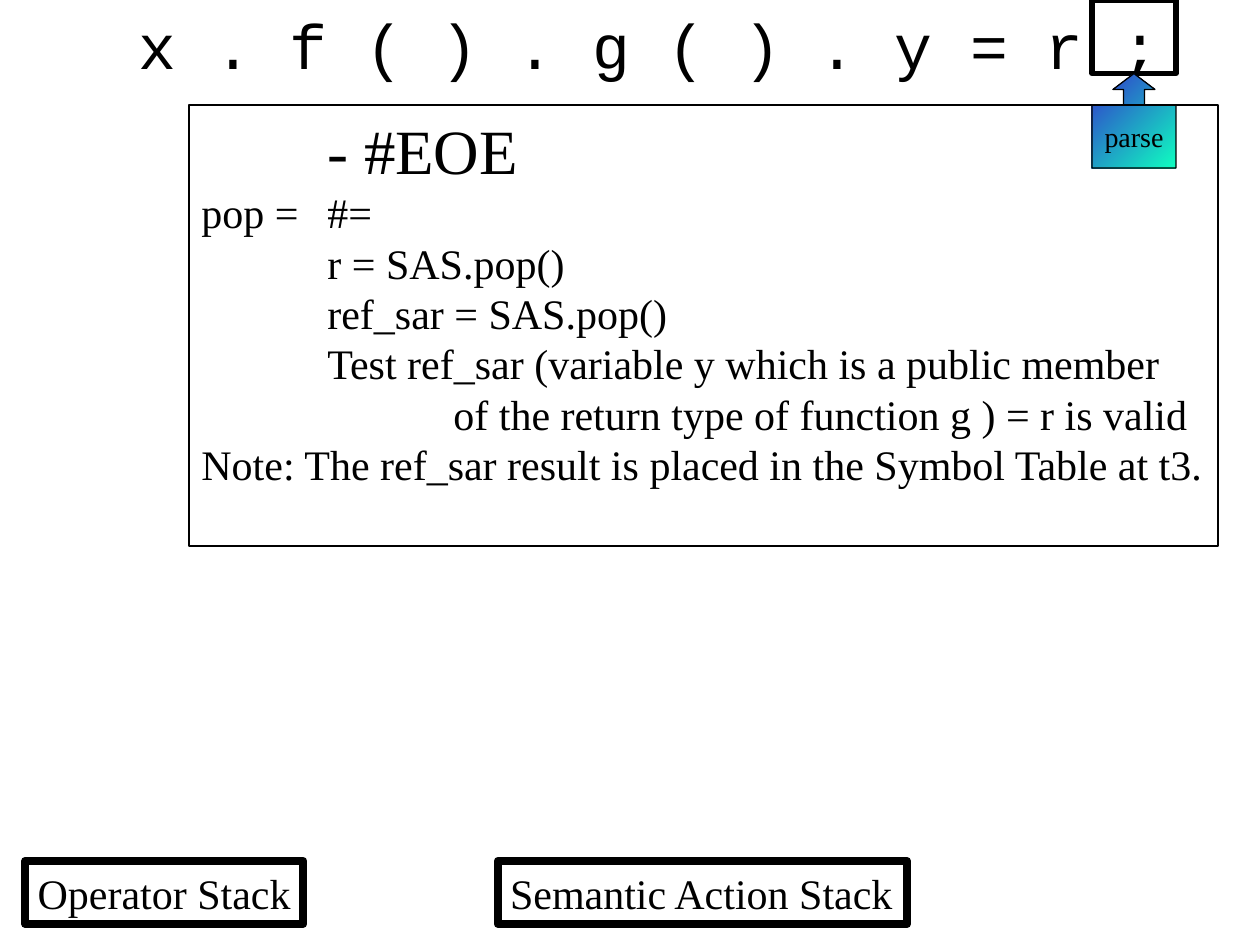
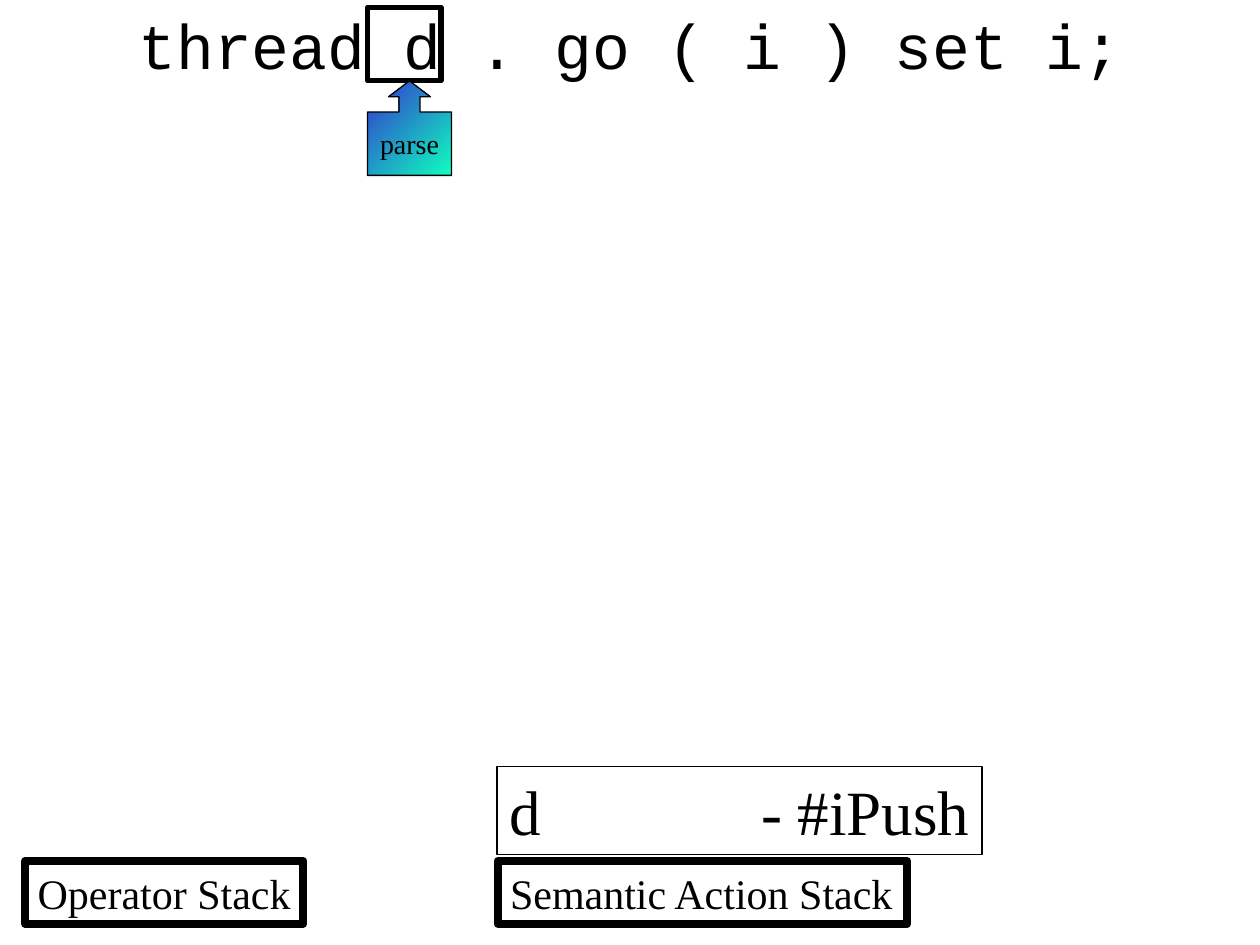
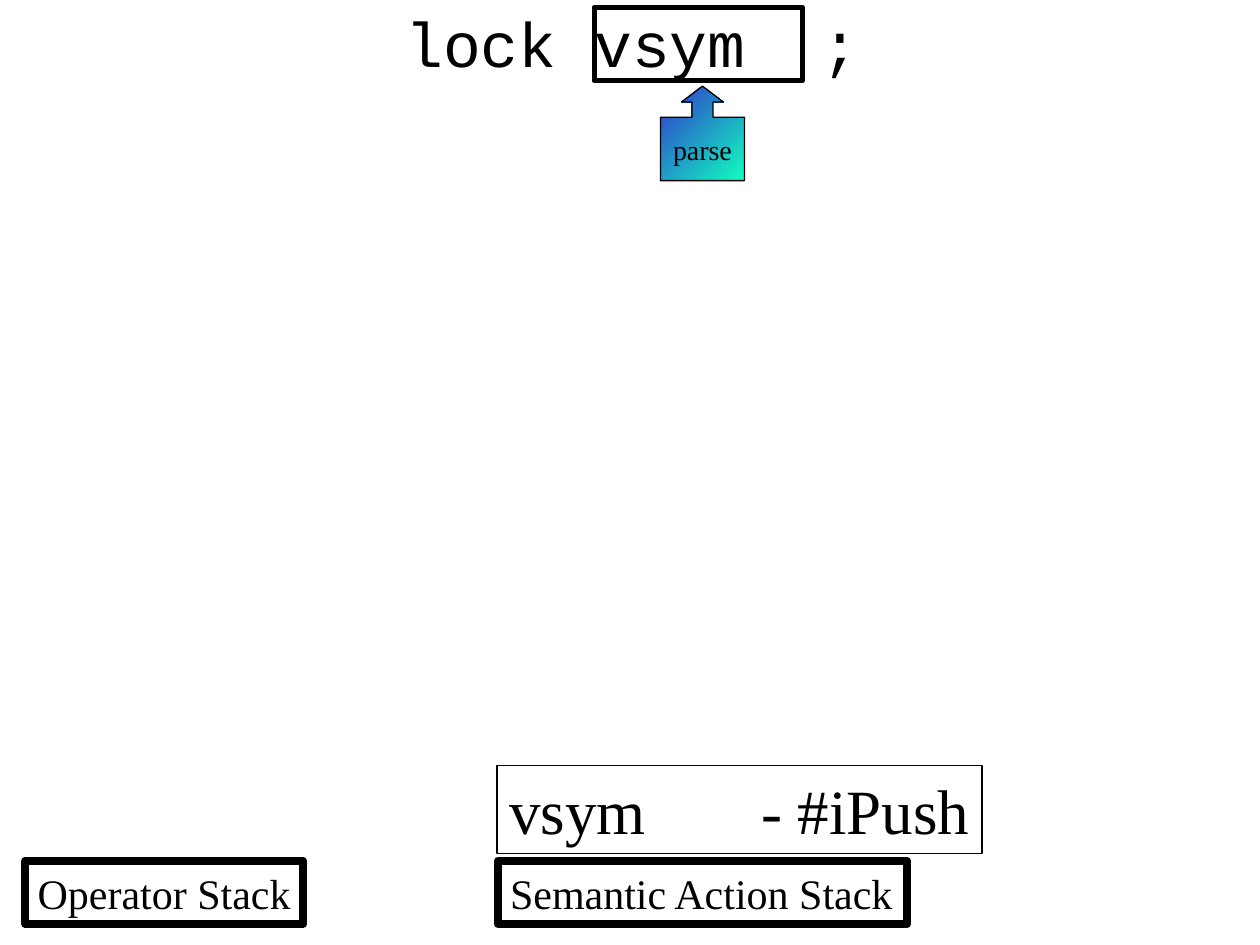
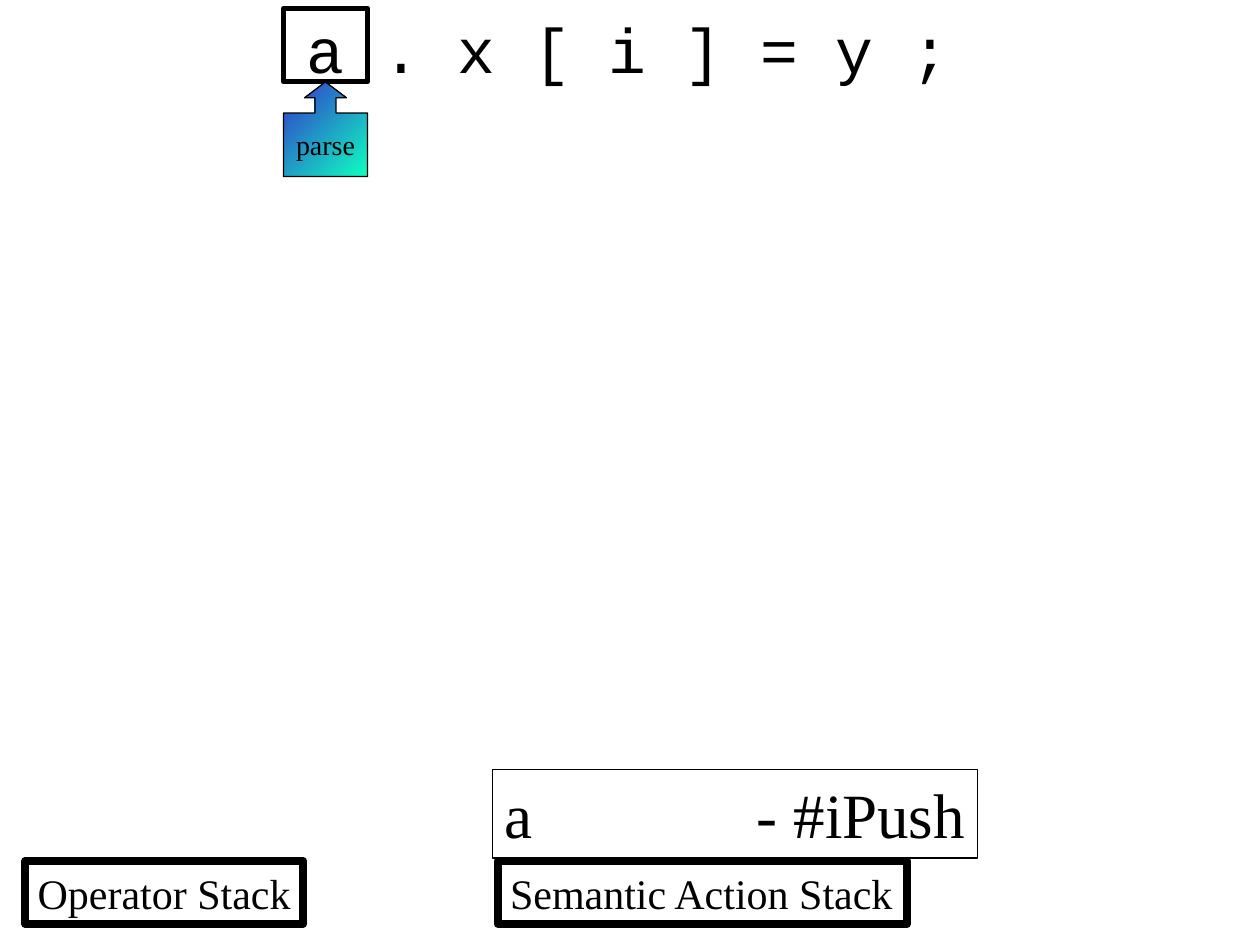
from dataclasses import dataclass
from typing import NamedTuple

from lxml import etree
from pptx import Presentation
from pptx.dml.color import RGBColor
from pptx.enum.shapes import MSO_SHAPE
from pptx.enum.text import MSO_ANCHOR, MSO_AUTO_SIZE, PP_ALIGN
from pptx.oxml.ns import qn
from pptx.util import Inches, Pt

RECTANGLE = MSO_SHAPE.RECTANGLE
UP_CALLOUT = MSO_SHAPE.UP_ARROW_CALLOUT
TOP, MIDDLE = MSO_ANCHOR.TOP, MSO_ANCHOR.MIDDLE
LEFT, CENTER = PP_ALIGN.LEFT, PP_ALIGN.CENTER
GROW, FIXED = MSO_AUTO_SIZE.SHAPE_TO_FIT_TEXT, MSO_AUTO_SIZE.NONE

# The slide is a grid of 120 columns by 90 rows
SLIDE_WIDTH, SLIDE_HEIGHT = Inches(10), Inches(7.5)
COLUMN, ROW = SLIDE_WIDTH / 120, SLIDE_HEIGHT / 90
TITLE_ONLY = 5


@dataclass(frozen=True)
class Theme:
    ink: RGBColor = RGBColor(0, 0, 0)
    pointer_start: RGBColor = RGBColor(0x33, 0x33, 0xCC)
    pointer_end: RGBColor = RGBColor(0x0F, 0xFF, 0xC0)
    code_font: str = "Courier New"
    text_font: str = "Times New Roman"
    large: int = 36
    body: int = 24
    small: int = 16
    stack_line: float = 4.5
    token_line: float = 3
    entry_line: float = 1
    pointer_line: float = 0.75


THEME = Theme()


class Area(NamedTuple):
    """Place and size in grid columns and rows."""
    column: float
    row: float
    columns: float
    rows: float

    def lengths(self) -> tuple[int, int, int, int]:
        return (round(self.column * COLUMN), round(self.row * ROW),
                round(self.columns * COLUMN), round(self.rows * ROW))


class Spot(NamedTuple):
    column: float
    row: float


class Line(NamedTuple):
    text: str
    size: int = THEME.body


class StackEntry(NamedTuple):
    text: str
    spot: Spot


@dataclass(frozen=True)
class ParseStep:
    statement: str
    statement_spot: Spot
    token: Area
    pointer: Spot
    entry: StackEntry | None = None
    explanation: tuple[Line, ...] = ()


# Parts on every slide
STACK_LABELS = {
    "Operator Stack": Area(2.4, 82, 26.5, 6),
    "Semantic Action Stack": Area(47.4, 82, 39, 6),
}
EXPLANATION_AREA = Area(18, 10, 98, 42)

STEPS = (
    ParseStep(
        " x . f ( ) . g ( ) . y = r ;", Spot(0, 0),
        token=Area(104, 0, 8, 7), pointer=Spot(104, 7),
        explanation=(
            Line("\t- #EOE", THEME.large),
            Line("pop =\t#="),
            Line("\tr = SAS.pop()"),
            Line("\tref_sar = SAS.pop()"),
            Line("\tTest ref_sar (variable y which is a public member"),
            Line("\t\tof the return type of function g ) = r is valid"),
            Line("Note: The ref_sar result is placed in the Symbol Table at t3."),
        )),
    ParseStep(
        "thread d . go ( i ) set i;", Spot(0, 0),
        token=Area(35, 0.7, 7, 7), pointer=Spot(35, 7.7),
        entry=StackEntry("d\t\t- #iPush", Spot(47.3, 73))),
    ParseStep(
        "lock vsym  ;", Spot(0.2, -0.2),
        token=Area(56.6, 0.7, 19.8, 7), pointer=Spot(62.9, 8.2),
        entry=StackEntry("vsym\t- #iPush", Spot(47.3, 72.9))),
    ParseStep(
        " a . x [ i ] = y ;", Spot(-2, 0.4),
        token=Area(27, 0.8, 8, 7), pointer=Spot(27, 7.8),
        entry=StackEntry("a\t\t- #iPush", Spot(46.9, 73.3))),
)


def add_tab_stops(paragraph) -> None:
    """Set a left tab stop at every inch."""
    tab_list = etree.SubElement(paragraph._p.get_or_add_pPr(), qn("a:tabLst"))
    for inch in range(1, 8):
        etree.SubElement(tab_list, qn("a:tab"), pos=str(Inches(inch)), algn="l")


def write(shape, lines: tuple[Line, ...], font: str = THEME.text_font,
          align=LEFT, anchor=TOP, wrap: bool = False, fit=GROW) -> None:
    frame = shape.text_frame
    frame.text = "\n".join(line.text for line in lines)
    frame.word_wrap, frame.auto_size = wrap, fit
    frame.vertical_anchor = anchor
    frame.margin_left = frame.margin_right = Inches(0.1)
    frame.margin_top = frame.margin_bottom = Inches(0.05)
    for paragraph, line in zip(frame.paragraphs, lines):
        add_tab_stops(paragraph)
        paragraph.alignment = align
        for run in paragraph.runs:
            run.font.name, run.font.size = font, Pt(line.size)
            run.font.color.rgb = THEME.ink


def add_outline(slide, area: Area, weight: float, kind=RECTANGLE):
    shape = slide.shapes.add_shape(kind, *area.lengths())
    shape.shadow.inherit = False
    shape.fill.background()
    shape.line.color.rgb = THEME.ink
    shape.line.width = Pt(weight)
    return shape


def add_statement(slide, text: str, spot: Spot) -> None:
    title = slide.shapes.title
    title.left, title.top, title.width, title.height = Area(*spot, 120, 8.4).lengths()
    write(title, (Line(text, THEME.large),), THEME.code_font, CENTER, wrap=True)


def add_pointer(slide, spot: Spot) -> None:
    pointer = add_outline(slide, Area(*spot, 8, 9), THEME.pointer_line, UP_CALLOUT)
    for index, value in enumerate((0.25, 0.25, 0.19, 0.67)):
        pointer.adjustments[index] = value
    pointer.fill.gradient()
    pointer.fill.gradient_angle = 315  # counter-clockwise: towards lower right
    colors = (THEME.pointer_start, THEME.pointer_end)
    for position, (stop, color) in enumerate(zip(pointer.fill.gradient_stops, colors)):
        stop.position, stop.color.rgb = position, color
    write(pointer, (Line("parse", THEME.small),), align=CENTER, anchor=MIDDLE, fit=FIXED)


def add_step(deck, step: ParseStep) -> None:
    slide = deck.slides.add_slide(deck.slide_layouts[TITLE_ONLY])
    add_statement(slide, step.statement, step.statement_spot)

    # Stack labels along the bottom
    for label, area in STACK_LABELS.items():
        write(add_outline(slide, area, THEME.stack_line), (Line(label),))

    # Current token and the parse pointer below it
    add_outline(slide, step.token, THEME.token_line)
    add_pointer(slide, step.pointer)

    # What the step pushes or tests
    if step.entry:
        entry = add_outline(slide, Area(*step.entry.spot, 46.2, 8.4), THEME.entry_line)
        write(entry, (Line(step.entry.text, THEME.large),))
    if step.explanation:
        explanation = add_outline(slide, EXPLANATION_AREA, THEME.entry_line)
        write(explanation, step.explanation, wrap=True, fit=FIXED)


def main() -> None:
    deck = Presentation()
    deck.slide_width, deck.slide_height = SLIDE_WIDTH, SLIDE_HEIGHT
    for step in STEPS:
        add_step(deck, step)
    deck.save("out.pptx")


if __name__ == "__main__":
    main()
